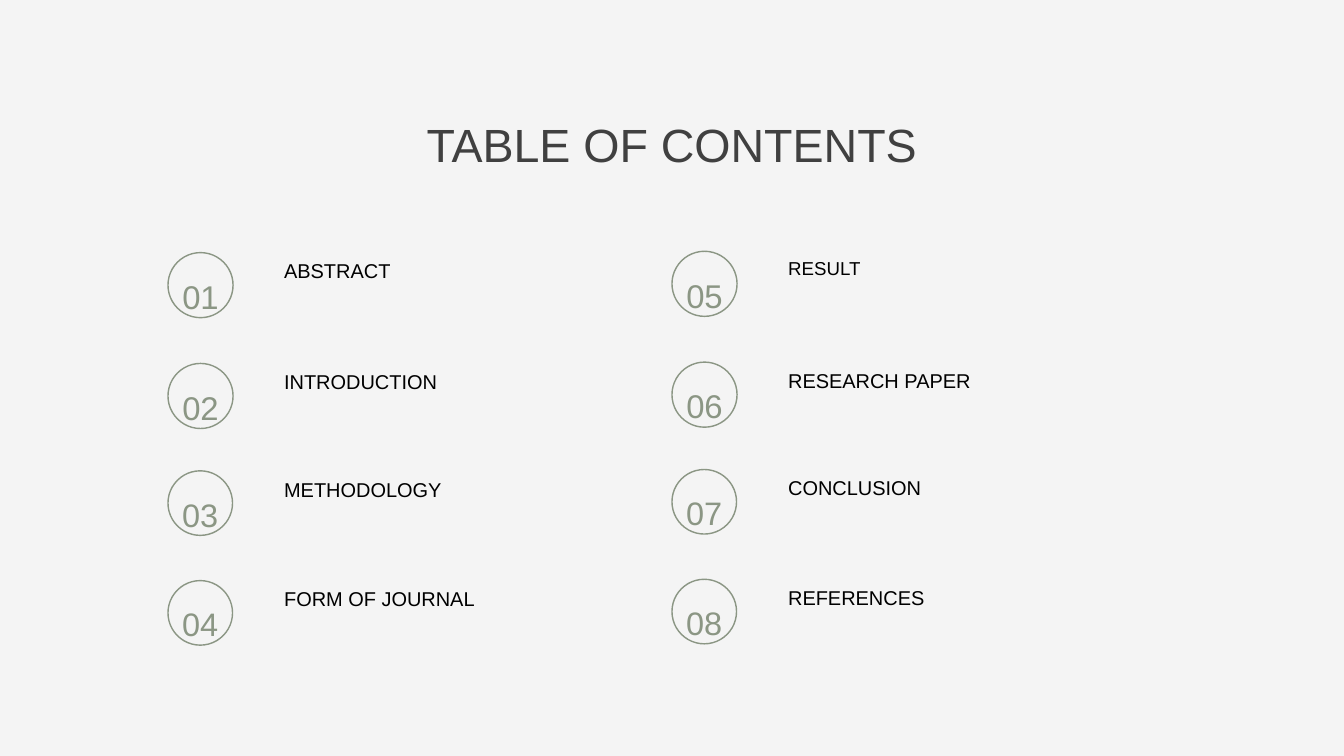
from pptx import Presentation
from pptx import util as u
from pptx.dml.color import RGBColor
from pptx.enum import shapes, text

COLOURS = {"ground": "F4F4F4", "title": "404040", "entry": "000000", "sage": "8B9684"}
FONT = "Arial"

ENTRIES = [
    ["ABSTRACT", "INTRODUCTION", "METHODOLOGY", "FORM OF JOURNAL"],
    ["RESULT", "RESEARCH PAPER", "CONCLUSION", "REFERENCES"],
]
COLUMNS = [(6.35, 0), (25.4, -0.05)]
ROWS = [(9.55, 2.46, 35.2), (13.74, 2.46, 35.2), (17.8, 2.44, 34.8), (21.95, 2.44, 34.8)]


def colour(name):
    return RGBColor.from_string(COLOURS[name])


def write(box, words, size, ink, align=text.PP_ALIGN.LEFT, spacing=1.22):
    frame = box.text_frame
    frame.margin_left = frame.margin_right = frame.margin_top = frame.margin_bottom = 0
    frame.word_wrap = True
    frame.auto_size = text.MSO_AUTO_SIZE.SHAPE_TO_FIT_TEXT
    frame.vertical_anchor = text.MSO_ANCHOR.TOP
    para = frame.paragraphs[0]
    para.alignment = align
    para.line_spacing = spacing
    span = para.add_run()
    span.text = words
    span.font.name = FONT
    span.font.size = u.Pt(size)
    span.font.color.rgb = colour(ink)


class ContentsPage:
    def __init__(self, deck):
        self.page = deck.slides.add_slide(deck.slide_layouts[5])
        self.page.background.fill.solid()
        self.page.background.fill.fore_color.rgb = colour("ground")

    def title(self, words):
        box = self.page.shapes.title
        box.left, box.top = u.Cm(14), u.Cm(3.91)
        box.width, box.height = u.Cm(22.8), u.Cm(2.13)
        write(box, words, 49.9, "title", align=text.PP_ALIGN.CENTER)

    def entry(self, words, left, top, size=21.4):
        box = self.page.shapes.add_textbox(u.Cm(left), u.Cm(top), u.Cm(7.52), u.Cm(0.91))
        write(box, words, size, "entry")

    def badge(self, number, left, top, side, size):
        group = self.page.shapes.add_group_shape()
        ring = group.shapes.add_shape(
            shapes.MSO_SHAPE.OVAL, u.Cm(left), u.Cm(top), u.Cm(side), u.Cm(side))
        ring.shadow.inherit = False
        ring.fill.background()
        ring.line.color.rgb = colour("sage")
        ring.line.width = u.Pt(1.5)
        box = group.shapes.add_textbox(
            u.Cm(left), u.Cm(top + 0.31), u.Cm(side), u.Cm(1.5))
        write(box, f"{number:02}", size, "sage", align=text.PP_ALIGN.CENTER, spacing=1.4)


def main():
    deck = Presentation()
    deck.slide_width, deck.slide_height = u.Cm(50.8), u.Cm(28.58)
    contents = ContentsPage(deck)
    contents.title("TABLE OF CONTENTS")
    number = 0
    for (left, shift), entries in zip(COLUMNS, ENTRIES):
        for (top, side, size), words in zip(ROWS, entries):
            number += 1
            contents.badge(number, left, top + shift, side, size)
            contents.entry(words, left + 4.39, top + shift + 0.04,
                           size=20 if words == "RESULT" else 21.4)
    deck.save("out.pptx")


if __name__ == "__main__":
    main()
